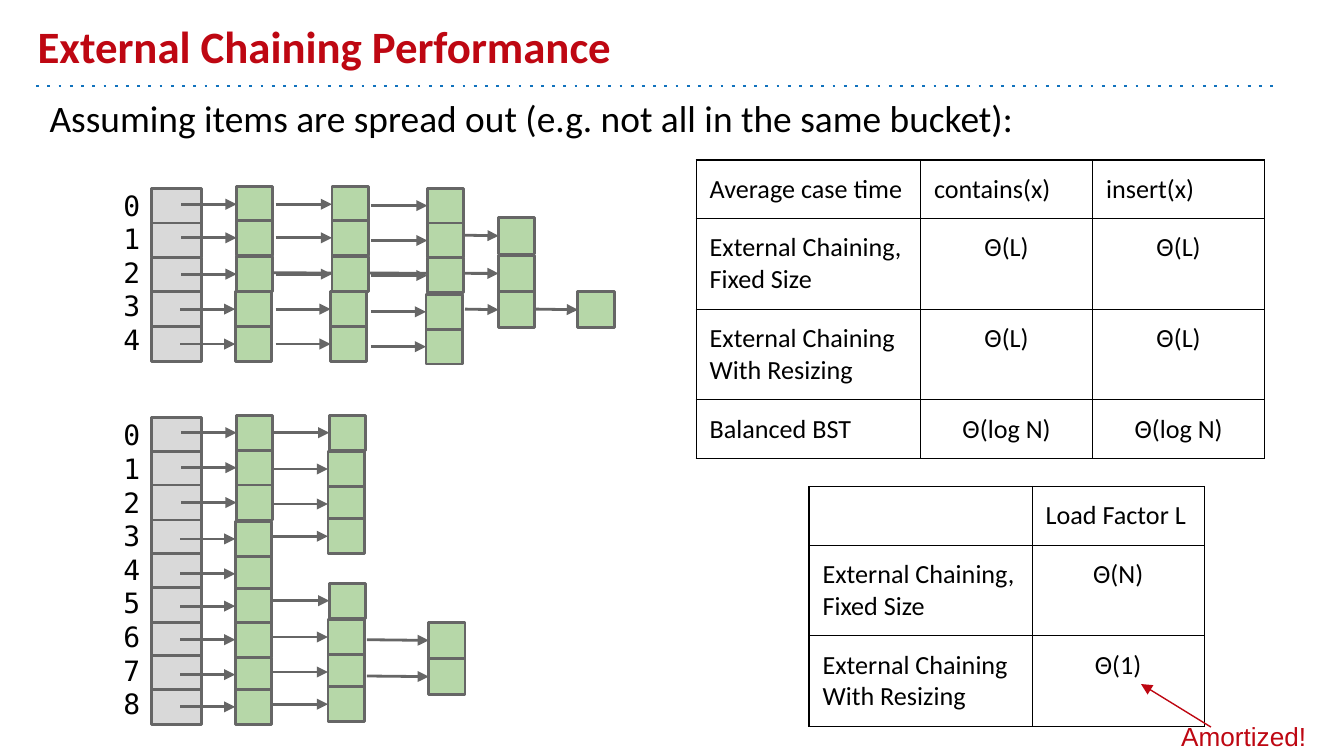
from lxml import etree
from pptx import Presentation, util as u
from pptx.dml.color import RGBColor
from pptx.enum import shapes, text
from pptx.oxml import ns

PX = 9144  # 100 px to the inch

RED = RGBColor(0xBE, 0x07, 0x12)
BLUE = RGBColor(0x10, 0x72, 0xBD)
BLACK = RGBColor(0, 0, 0)
GRAY = RGBColor(0x66, 0x66, 0x66)
BUCKET = RGBColor(0xD9, 0xD9, 0xD9)
ITEM = RGBColor(0xB6, 0xD7, 0xA8)

TITLE = {"name": "Calibri", "size": u.Pt(24), "bold": True}
BODY = {"name": "Calibri", "size": u.Pt(20)}
CELL = {"name": "Calibri", "size": u.Pt(14)}
INDEX = {"name": "DejaVu Sans Mono", "size": u.Pt(15)}
NOTE = {"name": "Arial", "size": u.Pt(14)}

# Columns of list items: left, size, start of the incoming arrows, tops
FIXED_CHAINS = [
    (175, 26, 134, [217, 243]),
    (176, 26, 135, [139, 164, 191]),
    (371, 27, 346, [162, 217]),
    (371, 27, 203, [190]),
    (430, 27, 399, [217]),
    (246, 26, 205, [217, 243]),
    (247, 26, 205, [139, 164, 191]),
    (317, 26, 276, [219, 245]),
    (318, 26, 276, [140, 166, 192]),
]
RESIZED_CHAINS = [
    (175, 26, 134, [388, 414, 438, 463, 489, 513]),
    (176, 26, 135, [309, 335, 361]),
    (244, 26, 203, [336, 362, 386, 461, 487, 511]),
    (245, 26, 203, [309, 434]),
    (319, 27, 273, [463, 490]),
]

TIMES = [
    ["Average case time", "contains(x)", "insert(x)"],
    ["External Chaining, Fixed Size", "Θ(L)", "Θ(L)"],
    ["External Chaining With Resizing", "Θ(L)", "Θ(L)"],
    ["Balanced BST", "Θ(log N)", "Θ(log N)"],
]
LOADS = [
    ["", "Load Factor L"],
    ["External Chaining, Fixed Size", "Θ(N)"],
    ["External Chaining With Resizing", "Θ(1)"],
]


def px(*values):
    return [u.Emu(v * PX) for v in values]


def sub(parent, tag, **attrs):
    return etree.SubElement(parent, ns.qn(tag), **attrs)


def set_frame(tf, anchor=text.MSO_ANCHOR.TOP):
    tf.word_wrap = True
    tf.auto_size = text.MSO_AUTO_SIZE.NONE
    tf.vertical_anchor = anchor
    tf.margin_left = tf.margin_top = tf.margin_right = tf.margin_bottom = u.Emu(10 * PX)


def write(p, words, fmt, color=BLACK, align=text.PP_ALIGN.LEFT):
    p.alignment = align
    r = p.add_run()
    r.text = words
    for key, value in fmt.items():
        setattr(r.font, key, value)
    r.font.color.rgb = color


def add_title(s, words):
    sp = s.shapes.title
    sp.left, sp.top, sp.width, sp.height = px(18, 10, 900, 54)
    set_frame(sp.text_frame, text.MSO_ANCHOR.BOTTOM)
    write(sp.text_frame.paragraphs[0], words, TITLE, RED)


def add_text(s, box, lines, fmt, color=BLACK, align=text.PP_ALIGN.LEFT, spacing=None):
    tf = s.shapes.add_textbox(*px(*box)).text_frame
    set_frame(tf)
    for i, line in enumerate(lines):
        p = tf.add_paragraph() if i else tf.paragraphs[0]
        p.line_spacing = spacing
        write(p, line, fmt, color, align)


def add_line(s, start, end, color, width, dash=None, arrow=False):
    line = s.shapes.add_connector(shapes.MSO_CONNECTOR.STRAIGHT, *px(*start, *end))
    line.line.color.rgb = color
    line.line.width = u.Pt(width)
    ln = line.line.fill and line._element.spPr.find(ns.qn("a:ln"))
    if dash:
        sub(ln, "a:prstDash", val=dash)
    if arrow:
        sub(ln, "a:tailEnd", type="triangle")
    sub(line._element.spPr, "a:effectLst")
    return line


def add_box(s, box, color):
    sp = s.shapes.add_shape(shapes.MSO_SHAPE.RECTANGLE, *px(*box))
    sp.shadow.inherit = False
    sp.fill.solid()
    sp.fill.fore_color.rgb = color
    sp.line.color.rgb = GRAY
    sp.line.width = u.Pt(1.5)
    return sp


def add_hash_table(s, top, count, pitch, numbers, chains):
    # Bucket numbers and buckets
    add_text(s, (82, top - 10, 32, 25 * count + 14), numbers,
             INDEX, align=text.PP_ALIGN.RIGHT, spacing=u.Pt(18))
    for i in range(count):
        add_box(s, (113, top + round(pitch * i), 37, 26), BUCKET)
    # Chained items, each with the arrow that leads to it
    for left, size, start, tops in chains:
        for y in tops:
            item = add_box(s, (left, y, 27, size), ITEM)
            arrow = add_line(s, (start, y + 13), (left, y + 13), GRAY, 1.5, arrow=True)
            arrow.end_connect(item, 1)


def set_borders(cell):
    tc_pr = cell._tc.get_or_add_tcPr()
    for i, side in enumerate(("a:lnL", "a:lnR", "a:lnT", "a:lnB")):
        ln = etree.Element(ns.qn(side), w=str(u.Pt(0.75)))
        sub(sub(ln, "a:solidFill"), "a:srgbClr", val=str(BLACK))
        tc_pr.insert(i, ln)


def add_grid(s, left, top, widths, heights, rows):
    table = s.shapes.add_table(len(rows), len(widths),
                               *px(left, top, sum(widths), sum(heights))).table
    table.first_row = table.horz_banding = False
    for column, width in zip(table.columns, px(*widths)):
        column.width = width
    for row, height in zip(table.rows, px(*heights)):
        row.height = height
    for i, row in enumerate(rows):
        for j, words in enumerate(row):
            cell = table.cell(i, j)
            cell.margin_left = cell.margin_right = u.Emu(10 * PX)
            cell.margin_top = cell.margin_bottom = u.Emu(10 * PX)
            cell.fill.background()
            set_borders(cell)
            p = cell.text_frame.paragraphs[0]
            if words:
                centred = i > 0 and j > 0
                write(p, words, CELL,
                      align=text.PP_ALIGN.CENTER if centred else text.PP_ALIGN.LEFT)
            else:
                sub(p._p, "a:endParaRPr", sz="1400")


def main():
    prs = Presentation()
    prs.slide_width = u.Inches(10)
    prs.slide_height = u.Emu(prs.slide_width * 9 // 16)
    s = prs.slides.add_slide(prs.slide_layouts[5])

    # Heading
    add_line(s, (27, 64), (950, 64), BLUE, 1.5, dash="dot")
    add_title(s, "External Chaining Performance")
    add_text(s, (27, 61, 915, 76),
             ["Assuming items are spread out (e.g. not all in the same bucket):"], BODY)

    # Running times and load factors
    add_grid(s, 518, 119, [167, 128, 128], [43, 67, 67, 43], TIMES)
    add_grid(s, 602, 362, [166, 128], [43, 67, 67], LOADS)

    # Hash tables before and after resizing; 5 and 6 wrap in the narrow box
    add_hash_table(s, 140, 5, 25.75, list("01234"), FIXED_CHAINS)
    add_hash_table(s, 311, 9, 25.25, [*"01234", "56", *"78"], RESIZED_CHAINS)

    # Remark on the resizing cost
    add_text(s, (869, 526, 116, 36), ["Amortized!"], NOTE, RED)
    add_line(s, (901, 541), (849, 509), RED, 0.75, arrow=True)

    prs.save("out.pptx")


if __name__ == "__main__":
    main()
